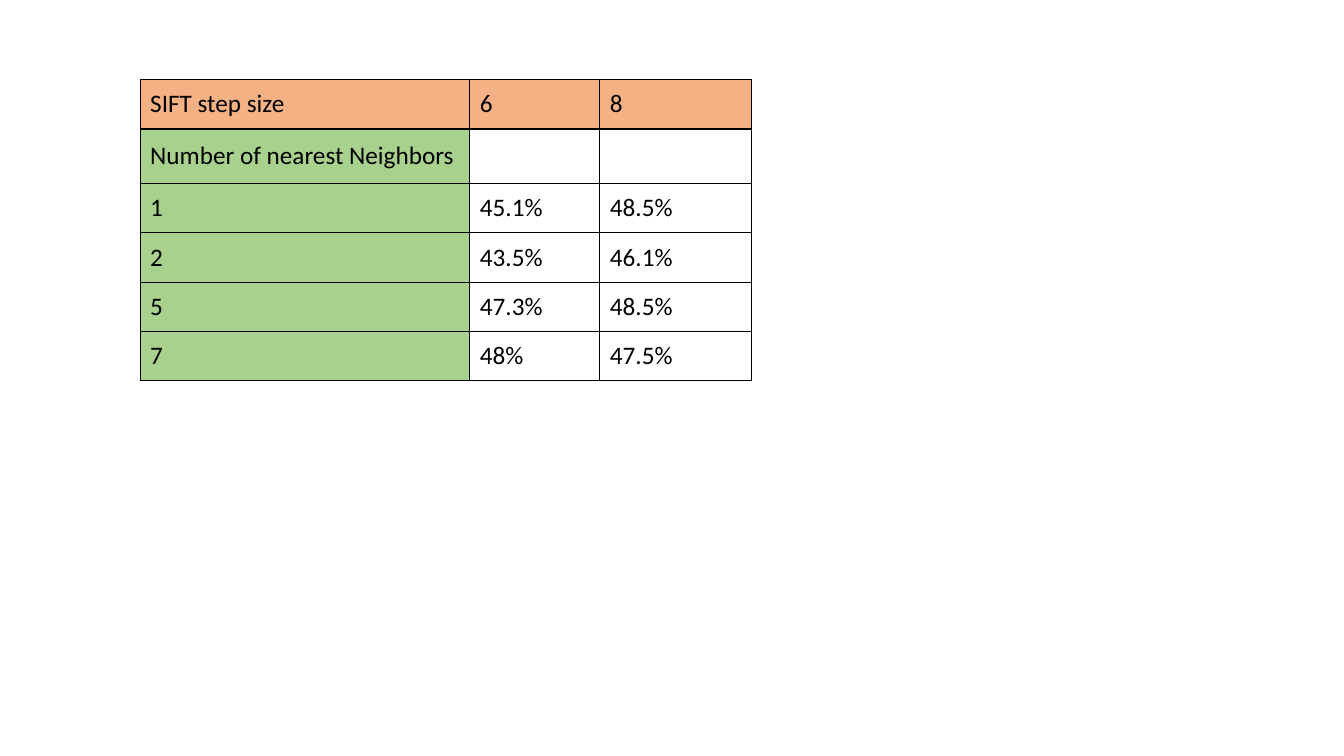
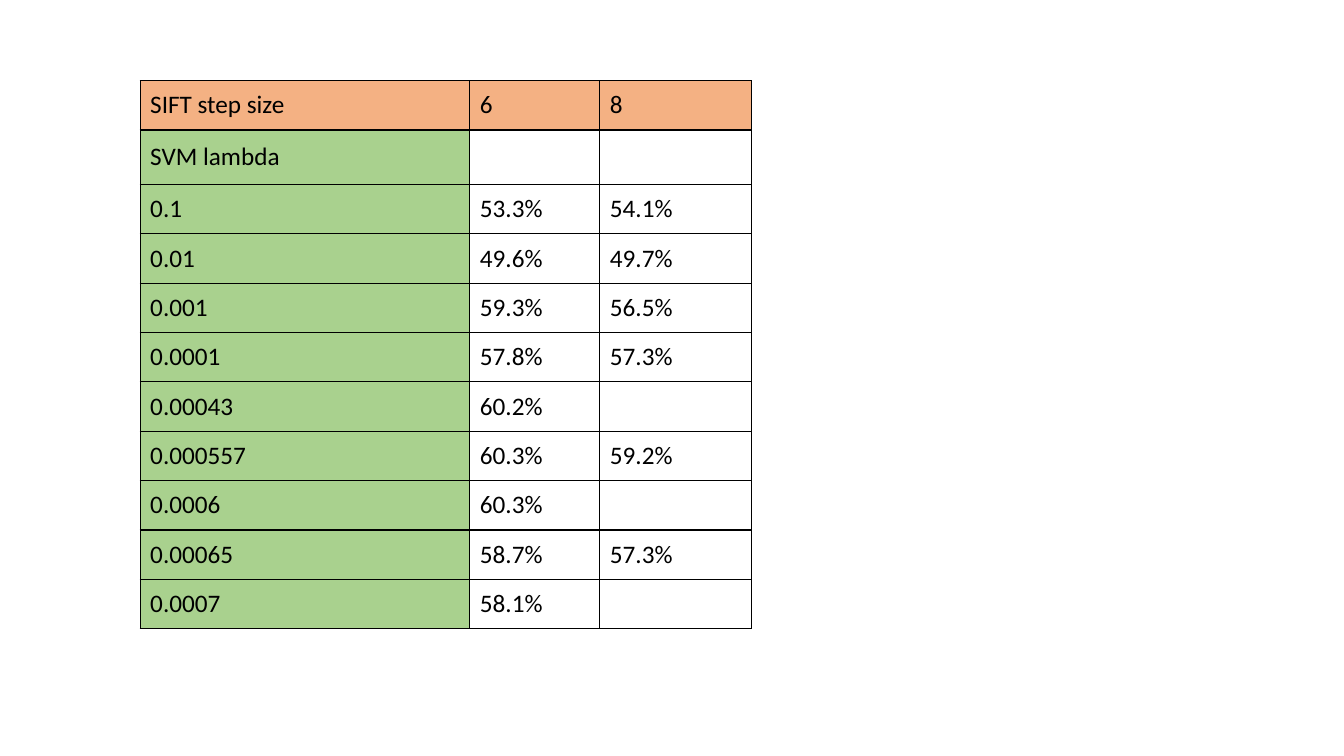
from dataclasses import dataclass

from lxml.etree import SubElement
from pptx import Presentation
from pptx.dml.color import RGBColor
from pptx.enum.text import MSO_ANCHOR
from pptx.oxml.ns import qn
from pptx.slide import Slide
from pptx.table import _Cell
from pptx.util import Inches, Pt

# Shared look
COLORS = {"step": "F4B183", "parameter": "A9D18E", "text": "000000", "border": "000000"}
FONT, FONT_SIZE = "Calibri", Pt(18)
BORDER_WIDTH = Pt(1)
LEFT = 1.39
COL_WIDTHS = (3.27, 1.29, 1.5)
ROW_HEIGHT, PARAMETER_ROW_HEIGHT = 0.49, 0.54
STEP_ROW = ("SIFT step size", "6", "8")


@dataclass
class AccuracyTable:
    top: float
    parameter: str
    results: list[tuple[str, str, str]]


TABLES = [
    AccuracyTable(0.79, "Number of nearest Neighbors", [
        ("1", "45.1%", "48.5%"),
        ("2", "43.5%", "46.1%"),
        ("5", "47.3%", "48.5%"),
        ("7", "48%", "47.5%"),
    ]),
    AccuracyTable(0.8, "SVM lambda", [
        ("0.1", "53.3%", "54.1%"),
        ("0.01", "49.6%", "49.7%"),
        ("0.001", "59.3%", "56.5%"),
        ("0.0001", "57.8%", "57.3%"),
        ("0.00043", "60.2%", ""),
        ("0.000557", "60.3%", "59.2%"),
        ("0.0006", "60.3%", ""),
        ("0.00065", "58.7%", "57.3%"),
        ("0.0007", "58.1%", ""),
    ]),
]


def add_borders(cell: _Cell) -> None:
    tc_pr = cell._tc.get_or_add_tcPr()
    for side in ("a:lnL", "a:lnR", "a:lnT", "a:lnB"):
        ln = SubElement(tc_pr, qn(side), w=str(BORDER_WIDTH))
        fill = SubElement(ln, qn("a:solidFill"))
        SubElement(fill, qn("a:srgbClr"), val=COLORS["border"])


def style_cell(cell: _Cell, text: str, fill: str | None) -> None:
    # Borders come before the fill in the cell properties
    add_borders(cell)
    if fill:
        cell.fill.solid()
        cell.fill.fore_color.rgb = RGBColor.from_string(COLORS[fill])
    else:
        cell.fill.background()
    cell.vertical_anchor = MSO_ANCHOR.MIDDLE
    p = cell.text_frame.paragraphs[0]
    p.text = text
    p.font.size = FONT_SIZE
    for r in p.runs:
        r.font.name = FONT
        r.font.size = FONT_SIZE
        r.font.color.rgb = RGBColor.from_string(COLORS["text"])


def cell_fill(row: int, col: int) -> str | None:
    if row == 0:
        return "step"
    return "parameter" if col == 0 else None


def add_accuracy_table(s: Slide, data: AccuracyTable) -> None:
    rows = [STEP_ROW, (data.parameter, "", ""), *data.results]
    heights = [ROW_HEIGHT, PARAMETER_ROW_HEIGHT] + [ROW_HEIGHT] * len(data.results)
    table = s.shapes.add_table(
        len(rows), len(COL_WIDTHS), Inches(LEFT), Inches(data.top),
        Inches(sum(COL_WIDTHS)), Inches(sum(heights))).table
    table.first_row = False
    table.horz_banding = False
    for column, width in zip(table.columns, COL_WIDTHS):
        column.width = Inches(width)
    for i, (values, height) in enumerate(zip(rows, heights)):
        table.rows[i].height = Inches(height)
        for j, text in enumerate(values):
            style_cell(table.cell(i, j), text, cell_fill(i, j))


# Slides
prs = Presentation()
prs.slide_width, prs.slide_height = Inches(13.33), Inches(7.5)
for accuracy_table in TABLES:
    add_accuracy_table(prs.slides.add_slide(prs.slide_layouts[6]), accuracy_table)
prs.save("out.pptx")
